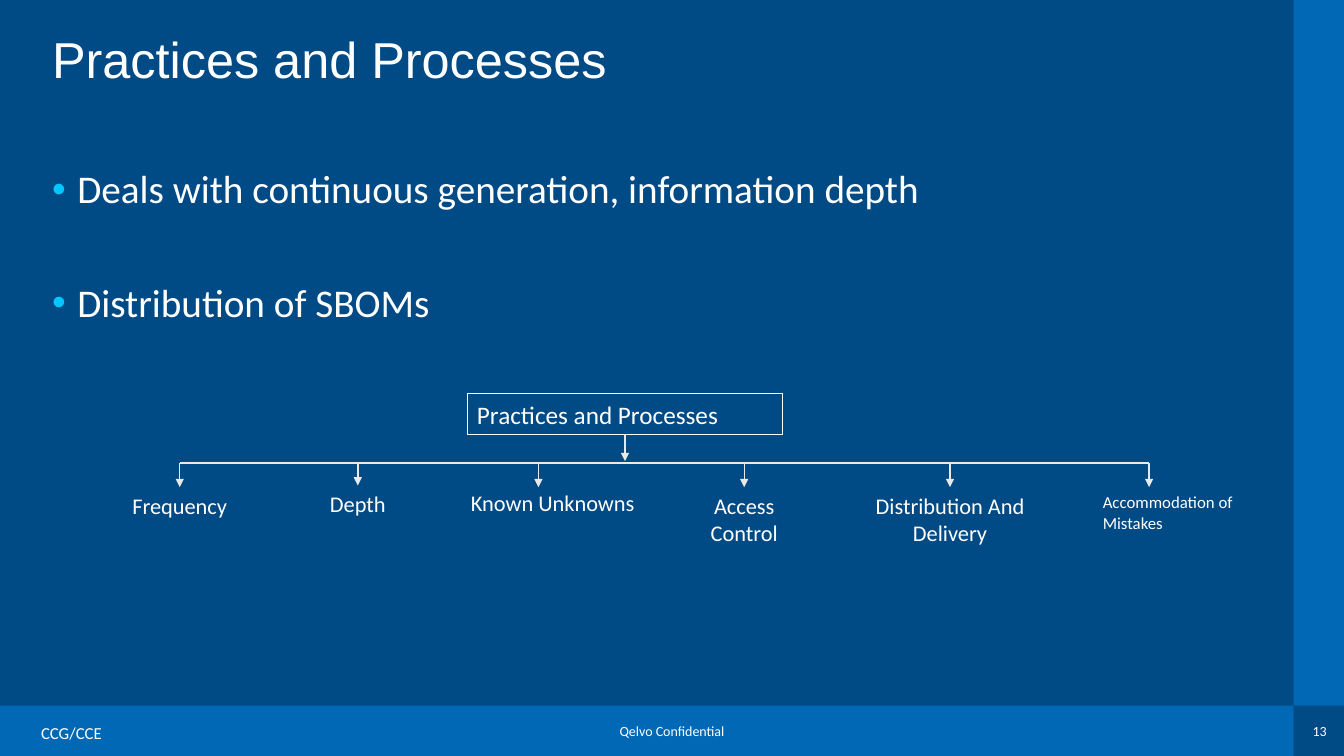
"""Builds the Practices and Processes slide with its branching diagram."""
from dataclasses import dataclass
from typing import Optional

from lxml.etree import SubElement
from pptx import Presentation
from pptx.dml.color import RGBColor
from pptx.enum.shapes import MSO_CONNECTOR, MSO_SHAPE
from pptx.enum.text import MSO_ANCHOR, MSO_AUTO_SIZE, PP_ALIGN
from pptx.oxml.ns import qn
from pptx.shapes.autoshape import Shape
from pptx.shapes.connector import Connector
from pptx.slide import Slide
from pptx.text.text import TextFrame
from pptx.util import Inches, Pt

NAVY = RGBColor(0x00, 0x4A, 0x86)
BLUE = RGBColor(0x00, 0x68, 0xB5)
CYAN = RGBColor(0x00, 0xC7, 0xFD)
PALE = RGBColor(0xE9, 0xE9, 0xE9)
WHITE = RGBColor(0xFF, 0xFF, 0xFF)

COLUMNS, ROWS = 160, 90
SLIDE_WIDTH, SLIDE_HEIGHT = Inches(13.33), Inches(7.5)
SPINE_ROW, TIP_ROW = 55.1, 58
TOP_SIDE, BOTTOM_SIDE = 0, 2


def col(columns: float) -> int:
    """Convert grid columns to a length."""
    return round(SLIDE_WIDTH * columns / COLUMNS)


def row(rows: float) -> int:
    """Convert grid rows to a length."""
    return round(SLIDE_HEIGHT * rows / ROWS)


@dataclass(frozen=True)
class Area:
    """A rectangle in grid columns and rows."""
    left: float
    top: float
    width: float
    height: float

    def box(self) -> tuple[int, int, int, int]:
        """Return the rectangle as lengths."""
        return col(self.left), row(self.top), col(self.width), row(self.height)


@dataclass(frozen=True)
class Label:
    """A piece of text and its place."""
    wording: str
    area: Area
    size: float
    align: PP_ALIGN = PP_ALIGN.CENTER
    anchor: MSO_ANCHOR = MSO_ANCHOR.MIDDLE


@dataclass(frozen=True)
class Branch:
    """A topic below the spine; arrow is set when it is off the topic's centre."""
    wording: str
    center: float
    width: float
    top: float = TIP_ROW
    height: float = 4.4
    arrow: Optional[float] = None
    size: float = 16
    align: PP_ALIGN = PP_ALIGN.CENTER

    def arrow_column(self) -> float:
        """Return the column of the arrow."""
        return self.center if self.arrow is None else self.arrow

    def label(self) -> Label:
        """Return the topic's text and place."""
        area = Area(self.center - self.width / 2, self.top, self.width, self.height)
        return Label(self.wording, area, self.size, self.align, MSO_ANCHOR.TOP)


BARS = [Area(0, 84, 154, 6), Area(154, 0, 6, 84)]
FOOTER = [
    Label("Qelvo Confidential", Area(72, 85.4, 16, 3.3), 10),
    Label("CCG/CCE", Area(3.7, 85.4, 12.5, 3.6), 12, PP_ALIGN.LEFT),
    Label("13", Area(154.8, 85.4, 4.6, 3.3), 10),
]
BRANCHES = [
    Branch("Frequency", 21.4, 20),
    Branch("Depth", 42.6, 11.3, top=57.8),
    Branch("Known Unknowns", 65.8, 23, top=57.6, arrow=64.1),
    Branch("Access Control", 88.6, 17, height=7.7),
    Branch("Distribution And Delivery", 113.1, 26.3, height=7.7),
    Branch("Accommodation of Mistakes", 139.6, 19, height=6, arrow=136.8,
           size=12, align=PP_ALIGN.LEFT),
]
ROOT = Label("Practices and Processes", Area(55.6, 46.9, 37.6, 4.8), 18, PP_ALIGN.LEFT)
TITLE = Label("Practices and Processes", Area(5, 3.6, 144, 14.3), 36,
              PP_ALIGN.LEFT, MSO_ANCHOR.TOP)
POINTS = Label("Deals with continuous generation, information depth\nDistribution of SBOMs",
               Area(5, 19.6, 144, 61), 28, PP_ALIGN.LEFT, MSO_ANCHOR.TOP)
POINT_GAP = Pt(51)


def write(frame: TextFrame, label: Label, font_name: str = "Calibri") -> None:
    """Put the label's wording in the frame and format it."""
    frame.text = label.wording
    frame.word_wrap = True
    frame.auto_size = MSO_AUTO_SIZE.NONE
    frame.vertical_anchor = label.anchor
    for paragraph in frame.paragraphs:
        paragraph.alignment = label.align
        for run in paragraph.runs:
            run.font.name = font_name
            run.font.size = Pt(label.size)
            run.font.color.rgb = WHITE


def add_label(slide: Slide, label: Label) -> Shape:
    """Add a text box for the label."""
    text_box = slide.shapes.add_textbox(*label.area.box())
    write(text_box.text_frame, label)
    return text_box


def add_bar(slide: Slide, area: Area) -> None:
    """Add a plain blue bar."""
    bar = slide.shapes.add_shape(MSO_SHAPE.RECTANGLE, *area.box())
    bar.shadow.inherit = False
    bar.fill.solid()
    bar.fill.fore_color.rgb = BLUE
    bar.line.fill.background()


def add_root(slide: Slide) -> Shape:
    """Add the outlined root of the diagram."""
    root = slide.shapes.add_shape(MSO_SHAPE.RECTANGLE, *ROOT.area.box())
    root.shadow.inherit = False
    root.fill.background()
    root.line.color.rgb = WHITE
    root.line.width = Pt(0.75)
    write(root.text_frame, ROOT)
    return root


def add_line(slide: Slide, start: tuple[float, float], end: tuple[float, float],
             arrow: bool = True) -> Connector:
    """Add a straight line between two grid points."""
    line = slide.shapes.add_connector(MSO_CONNECTOR.STRAIGHT, col(start[0]), row(start[1]),
                                      col(end[0]), row(end[1]))
    line.line.color.rgb = PALE
    line.line.width = Pt(1)
    if arrow:
        SubElement(line.line._get_or_add_ln(), qn("a:tailEnd"), type="triangle")
    SubElement(line._element.spPr, qn("a:effectLst"))
    return line


def add_diagram(slide: Slide) -> None:
    """Add the root, the spine and all branches."""
    root = add_root(slide)
    root_center = ROOT.area.left + ROOT.area.width / 2
    stem = add_line(slide, (root_center, ROOT.area.top + ROOT.area.height),
                    (root_center, SPINE_ROW - 0.2))
    stem.begin_connect(root, BOTTOM_SIDE)
    add_line(slide, (BRANCHES[0].arrow_column(), SPINE_ROW),
             (BRANCHES[-1].arrow_column(), SPINE_ROW), arrow=False)
    for branch in BRANCHES:
        topic = add_label(slide, branch.label())
        column = branch.arrow_column()
        pointer = add_line(slide, (column, SPINE_ROW), (column, TIP_ROW))
        if branch.arrow is None:
            pointer.end_connect(topic, TOP_SIDE)


def fill_placeholders(slide: Slide) -> None:
    """Place and fill the title and the bullet list."""
    title, points = slide.shapes.title, slide.placeholders[1]
    for holder, label, font_name in ((title, TITLE, "Arial"), (points, POINTS, "Calibri")):
        holder.left, holder.top, holder.width, holder.height = label.area.box()
        write(holder.text_frame, label, font_name)
        for index, paragraph in enumerate(holder.text_frame.paragraphs):
            paragraph.line_spacing = 0.9
            paragraph.space_before = POINT_GAP if index else Pt(0)
    for paragraph in points.text_frame.paragraphs:
        properties = paragraph._p.get_or_add_pPr()
        properties.set("marL", str(Inches(0.25)))
        properties.set("indent", str(-Inches(0.25)))
        bullet_color = SubElement(properties, qn("a:buClr"))
        SubElement(bullet_color, qn("a:srgbClr"), val=str(CYAN))
        SubElement(properties, qn("a:buFont"), typeface="Arial")
        SubElement(properties, qn("a:buChar"), char="•")


def main() -> None:
    """Build and save the slide."""
    deck = Presentation()
    deck.slide_width, deck.slide_height = SLIDE_WIDTH, SLIDE_HEIGHT
    slide = deck.slides.add_slide(deck.slide_layouts[1])
    slide.background.fill.solid()
    slide.background.fill.fore_color.rgb = NAVY
    for area in BARS:
        add_bar(slide, area)
    for label in FOOTER:
        add_label(slide, label)
    fill_placeholders(slide)
    add_diagram(slide)
    deck.save("out.pptx")


if __name__ == "__main__":
    main()
